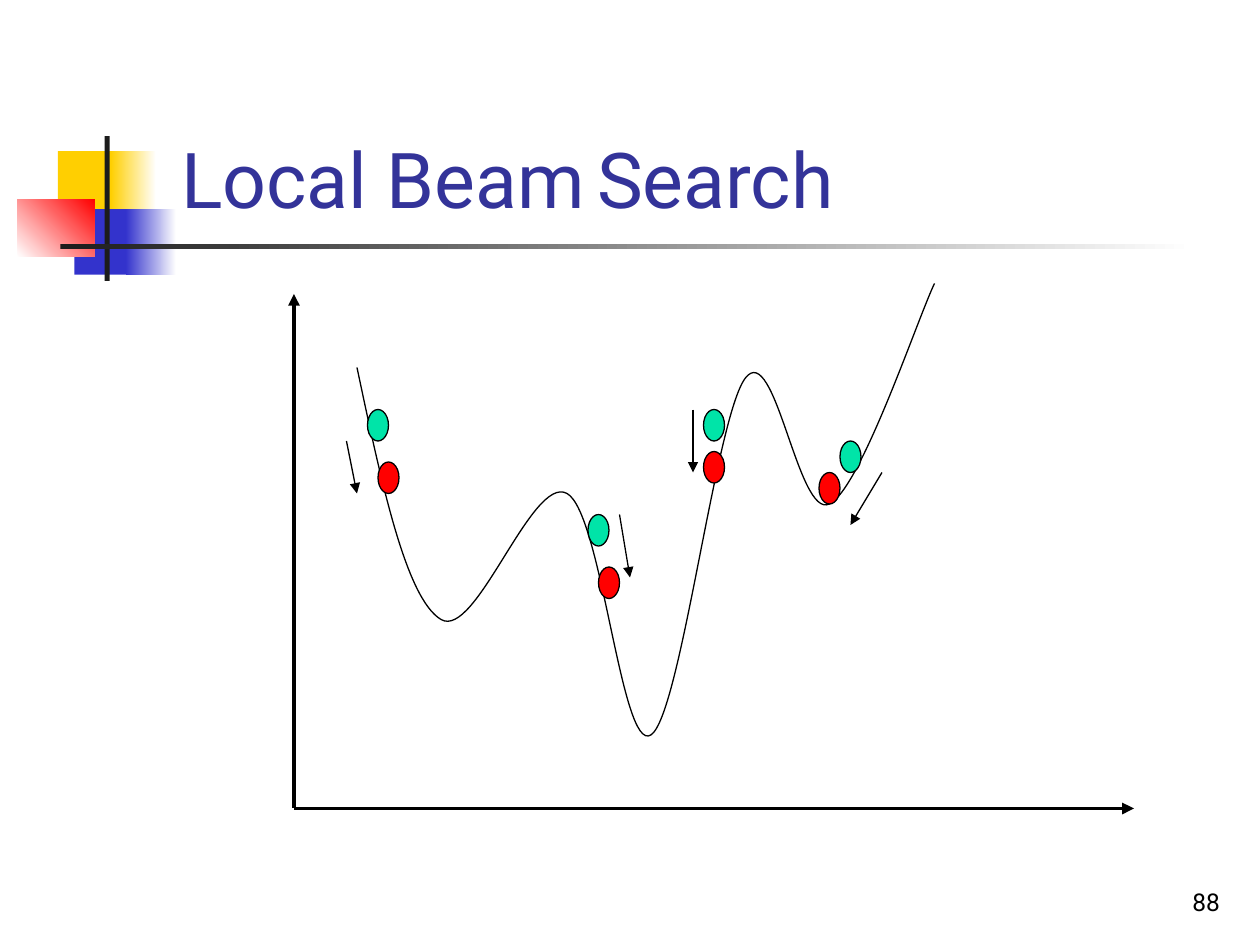
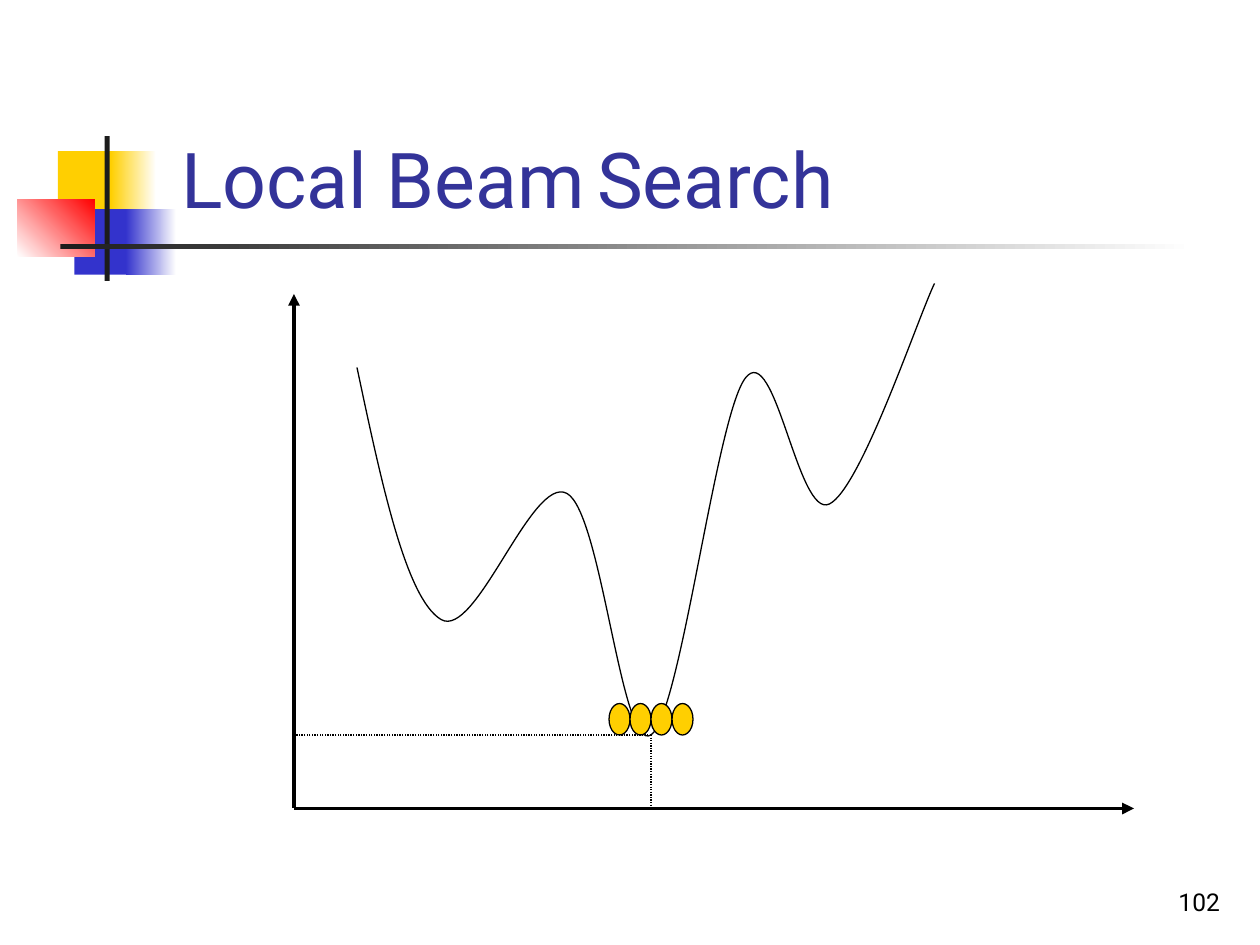
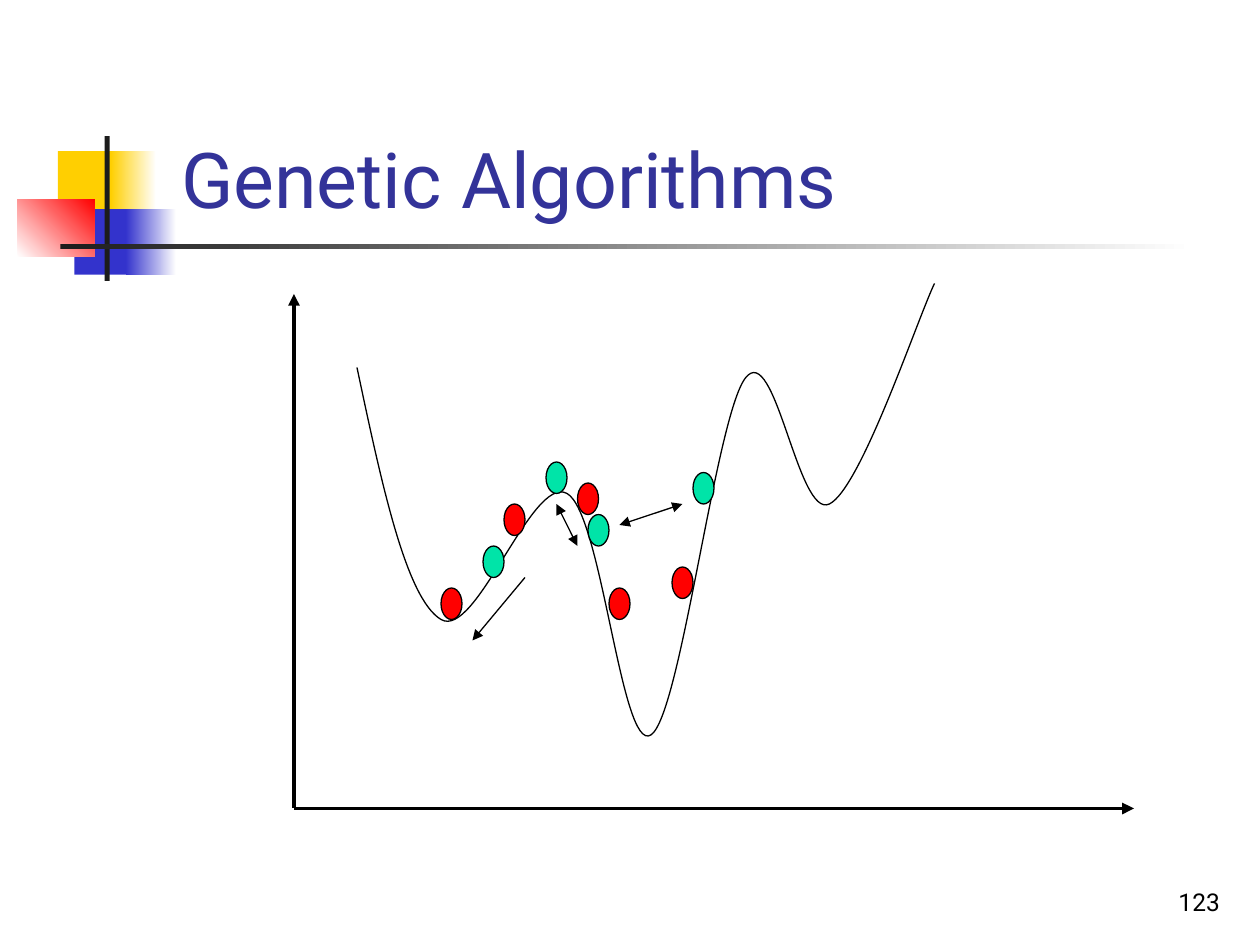
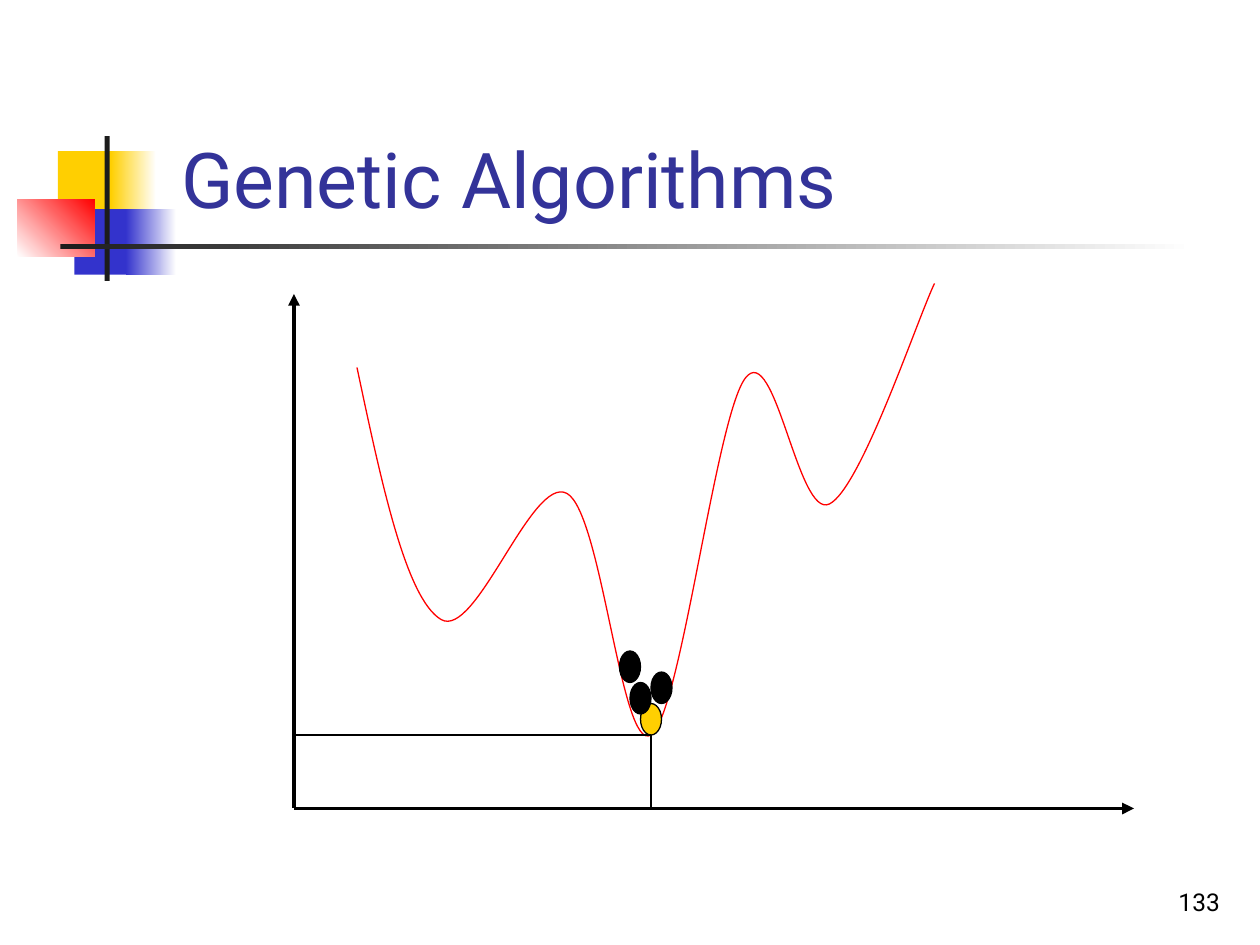
from pptx import Presentation
from pptx import util as u
from pptx.dml import color
from pptx.enum import dml, shapes, text
from pptx.oxml import ns, xmlchemy as xml

FONT = "Roboto"
BLACK, DARK, WHITE = "000000", "1C1C1C", "FFFFFF"
GOLD, BLUE, RED, GREEN = "FFCF01", "3333CC", "FF0000", "00E4A8"
NAVY = "333399"
UNIT = 1 / 12

LOCAL = [("Local Beam", 44, NAVY, False), (" ", 28, GOLD, True), ("Search", 44, NAVY, False)]
GENES = [("Genetic Algorithms", 44, NAVY, False)]

BLOCKS = [
    (0.32, 0.12, 0.48, 0.52, [GOLD], 0),
    (0.74, 0.12, 0.36, 0.52, [GOLD, WHITE], 0),
    (0.45, 0.58, 0.46, 0.52, [BLUE], 0),
    (0.86, 0.58, 0.4, 0.52, [BLUE, WHITE], 0),
    (0, 0.5, 0.61, 0.46, [WHITE, RED], 45),
    (0.69, 0, 0.04, 1.15, [DARK], 0),
    (0.34, 0.86, 9, 0.04, [DARK, WHITE], 0),
]

KNOTS = [(0, -34), (6, 8), (14, 32), (26, 20), (34, 43), (43, 9), (51, 21), (61, 0), (61, 0)]
BEST = (34, 43)
FLOOR = 50

PAGES = [
    dict(title=LOCAL, number="88",
         dots=[(GREEN, [(7, 12), (28, 22), (39, 12), (52, 15)]),
               (RED, [(8, 17), (29, 27), (50, 18), (39, 16)])],
         moves=[((5, 15), (6, 20)), ((31, 22), (32, 28)),
                ((38, 12), (38, 18)), ((56, 18), (53, 23))]),
    dict(title=LOCAL, number="102",
         dots=[(GOLD, [(x, 40) for x in range(30, 37, 2)])],
         guide=True, dash=dml.MSO_LINE.ROUND_DOT),
    dict(title=GENES, number="123",
         dots=[(GREEN, [(24, 17), (18, 25), (28, 22), (38, 18)]),
               (RED, [(14, 29), (30, 29), (36, 27), (20, 21), (27, 19)])],
         moves=[((22, 28), (17, 34))],
         swaps=[((31, 23), (37, 21)), ((25, 21), (27, 25))]),
    dict(title=GENES, number="133", curve=RED,
         dots=[(BLACK, [(34, 37), (31, 35)]), (GOLD, [(33, 40)]), (BLACK, [(32, 38)])],
         guide=True),
]


def rgb(code):
    return color.RGBColor.from_string(code)


def paint(shape, tints, angle=0):
    shape.shadow.inherit = False
    if len(tints) == 1:
        shape.fill.solid()
        shape.fill.fore_color.rgb = rgb(tints[0])
        return
    shape.fill.gradient()
    shape.fill.gradient_angle = angle
    for stop, tint in zip(shape.fill.gradient_stops, tints):
        stop.color.rgb = rgb(tint)


def stroke(shape, tint=BLACK, width=0.75):
    shape.line.color.rgb = rgb(tint)
    shape.line.width = u.Pt(width)


def write(slide, box, parts, align):
    frame = slide.shapes.add_textbox(*map(u.Inches, box)).text_frame
    frame.word_wrap = True
    frame.vertical_anchor = text.MSO_ANCHOR.BOTTOM
    para = frame.paragraphs[0]
    para.alignment = align
    for words, size, tint, slant in parts:
        run = para.add_run()
        run.text = words
        run.font.name = FONT
        run.font.size = u.Pt(size)
        run.font.italic = slant
        run.font.color.rgb = rgb(tint)


def motif(slide, left, top):
    for x, y, wide, high, tints, angle in BLOCKS:
        block = slide.shapes.add_shape(
            shapes.MSO_SHAPE.RECTANGLE,
            *map(u.Inches, (left + x, top + y, wide, high)))
        paint(block, tints, angle)
        block.line.fill.background()


def bend(form):
    legs = list(form._element.iter(ns.qn("a:lnTo")))
    for first in range(0, len(legs), 3):
        arc = xml.OxmlElement("a:cubicBezTo")
        legs[first].addprevious(arc)
        for leg in legs[first:first + 3]:
            arc.append(leg[0])
            leg.getparent().remove(leg)


class Plot:
    def __init__(self, slide, left, top):
        self.slide, self.left, self.top = slide, left, top

    def place(self, point):
        x, y = point
        return u.Inches(self.left + x * UNIT), u.Inches(self.top + y * UNIT)

    def line(self, start, end, width=0.75, heads=(), dash=None):
        link = self.slide.shapes.add_connector(
            shapes.MSO_CONNECTOR.STRAIGHT, *self.place(start), *self.place(end))
        stroke(link, BLACK, width)
        if dash:
            link.line.dash_style = dash
        props = link._element.spPr
        for head in heads:
            tip = xml.OxmlElement(f"a:{head}")
            tip.set("type", "triangle")
            props.find(ns.qn("a:ln")).append(tip)
        props.append(xml.OxmlElement("a:effectLst"))

    def axes(self):
        self.line((0, 1), (0, FLOOR), 2.25, ["headEnd"])
        self.line((0, FLOOR), (80, FLOOR), 2.25, ["tailEnd"])

    def curve(self, tint):
        points = []
        for prev, start, end, after in zip(KNOTS, KNOTS[1:], KNOTS[2:], KNOTS[3:]):
            points += [
                [a + (b - p) / 6 for p, a, b in zip(prev, start, end)],
                [b - (n - a) / 6 for a, b, n in zip(start, end, after)],
                end]
        form = self.slide.shapes.build_freeform(*self.place(KNOTS[1]))
        form.add_line_segments([self.place(point) for point in points], close=False)
        wave = form.convert_to_shape()
        bend(wave)
        wave.shadow.inherit = False
        wave.fill.background()
        stroke(wave, tint)

    def dot(self, point, tint):
        ball = self.slide.shapes.add_shape(
            shapes.MSO_SHAPE.OVAL, *self.place(point),
            u.Inches(2 * UNIT), u.Inches(3 * UNIT))
        paint(ball, [tint])
        stroke(ball)

    def guides(self, dash):
        for end in ((BEST[0], FLOOR), (0, BEST[1])):
            self.line(BEST, end, dash=dash)


def draw(slide, page):
    motif(slide, 0.14, 1.08)
    write(slide, (7.7, 6.82, 2.08, 0.5),
          [(page["number"], 14, BLACK, False)], text.PP_ALIGN.RIGHT)
    write(slide, (1.34, 0.93, 8.52, 0.9), page["title"], text.PP_ALIGN.LEFT)
    plot = Plot(slide, 28 * UNIT, 2.25)
    plot.axes()
    plot.curve(page.get("curve", BLACK))
    for tint, points in page["dots"]:
        for point in points:
            plot.dot(point, tint)
    for start, end in page.get("moves", []):
        plot.line(start, end, heads=["tailEnd"])
    for start, end in page.get("swaps", []):
        plot.line(start, end, heads=["headEnd", "tailEnd"])
    if page.get("guide"):
        plot.guides(page.get("dash"))


def main():
    deck = Presentation()
    deck.slide_width, deck.slide_height = u.Inches(10), u.Inches(7.5)
    for page in PAGES:
        draw(deck.slides.add_slide(deck.slide_layouts[6]), page)
    deck.save("out.pptx")


if __name__ == "__main__":
    main()
